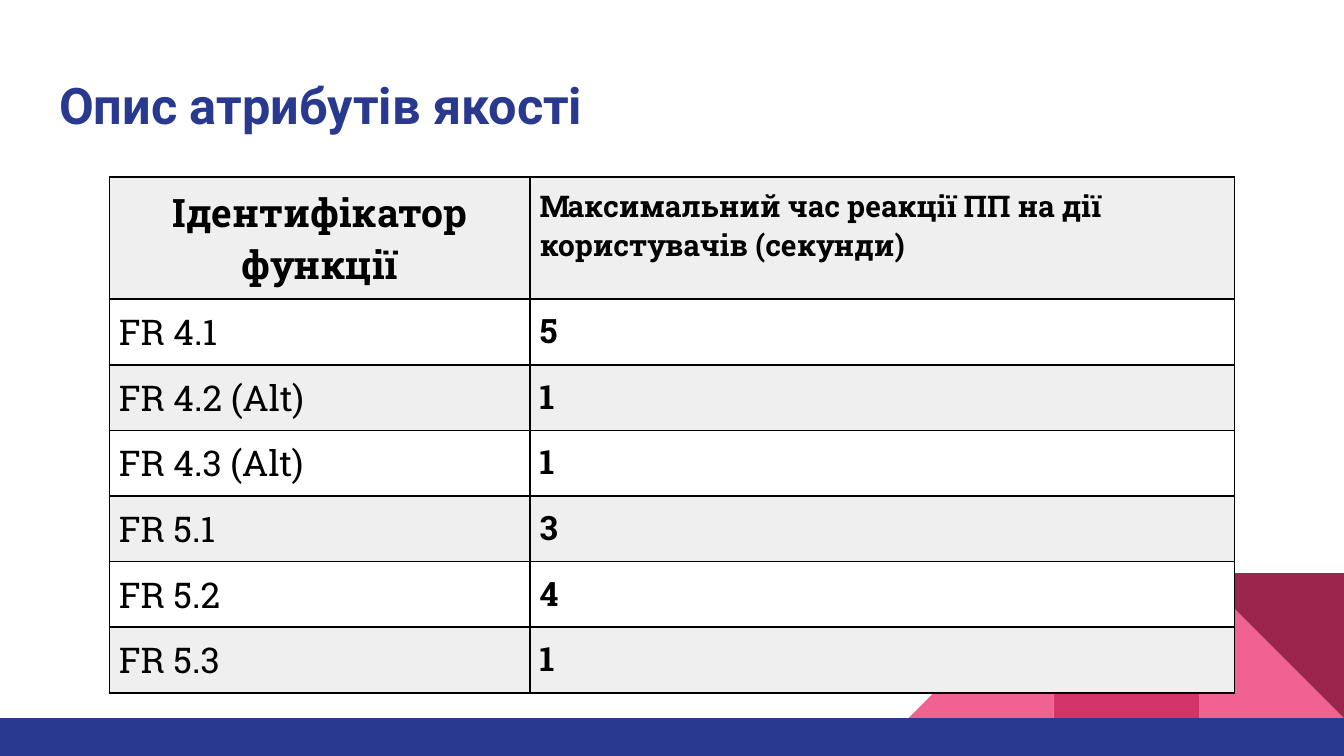
from lxml import etree
from pptx import Presentation
from pptx import util as u
from pptx.dml.color import RGBColor
from pptx.enum import shapes, text
from pptx.oxml import ns

NAVY = RGBColor(0x2A, 0x39, 0x90)
PINK = RGBColor(0xF0, 0x62, 0x92)
CRIMSON = RGBColor(0xD2, 0x33, 0x69)
MAROON = RGBColor(0x9C, 0x25, 0x4D)
GREY = RGBColor(0xEF, 0xEF, 0xEF)
WHITE = RGBColor(0xFF, 0xFF, 0xFF)
BLACK = RGBColor(0, 0, 0)

WIDTH = u.Inches(10)
HEIGHT = WIDTH * 9 // 16
BAND_TOP = 0.95
INSET = u.Inches(0.07)

TITLE_FONT = {"name": "Roboto", "size": u.Pt(27), "bold": True}
HEADER_FONTS = (
    {"name": "Roboto Slab", "size": u.Pt(21), "bold": True},
    {"name": "Roboto Slab", "size": u.Pt(16), "bold": True},
)
BODY_FONTS = (
    {"name": "Roboto Slab", "size": u.Pt(19), "bold": False},
    {"name": "Roboto Slab", "size": u.Pt(18), "bold": True},
)
HEADERS = (
    "Ідентифікатор\nфункції",
    "Максимальний час реакції ПП на дії\nкористувачів (секунди)",
)
REACTION_TIMES = (
    ("FR 4.1", "5"),
    ("FR 4.2 (Alt)", "1"),
    ("FR 4.3 (Alt)", "1"),
    ("FR 5.1", "3"),
    ("FR 5.2", "4"),
    ("FR 5.3", "1"),
)


def share_box(left, top, width, height):
    return (int(WIDTH * left), int(HEIGHT * top),
            int(WIDTH * width), int(HEIGHT * height))


def apply(target, values):
    for key, value in values.items():
        setattr(target, key, value)


def style_font(font, values, color):
    apply(font, values)
    font.color.rgb = color


def add_piece(group, kind, box, color, rotation=0):
    piece = group.shapes.add_shape(kind, *box)
    piece.rotation = rotation
    piece.fill.solid()
    piece.fill.fore_color.rgb = color
    piece.line.fill.background()
    piece.shadow.inherit = False


def add_decor(slide, box):
    left, top, width, height = box
    side = int(width * 0.108)
    band_y = top + int(height * BAND_TOP)
    triangle = shapes.MSO_SHAPE.RIGHT_TRIANGLE
    square = shapes.MSO_SHAPE.RECTANGLE
    group = slide.shapes.add_group_shape()
    for kind, column, color, rotation in (
        (triangle, 1, PINK, 0),
        (triangle, 3, PINK, 270),
        (square, 2, CRIMSON, 0),
        (triangle, 1, MAROON, 180),
    ):
        corner = (left + width - column * side, band_y - side, side, side)
        add_piece(group, kind, corner, color, rotation)
    band = (left, band_y, width, top + height - band_y)
    add_piece(group, square, band, NAVY)


def add_title(slide, box):
    title = slide.shapes.title
    apply(title, dict(zip(("left", "top", "width", "height"), box)))
    frame = title.text_frame
    sides = ("margin_left", "margin_right", "margin_top", "margin_bottom")
    apply(frame, dict.fromkeys(sides, u.Inches(0.1)))
    apply(frame, {"word_wrap": True, "auto_size": text.MSO_AUTO_SIZE.NONE,
                  "vertical_anchor": text.MSO_ANCHOR.TOP})
    frame.text = "Опис атрибутів якості"
    heading = frame.paragraphs[0]
    heading.alignment = text.PP_ALIGN.LEFT
    style_font(heading.runs[0].font, TITLE_FONT, NAVY)


def add_borders(cell):
    properties = cell._tc.get_or_add_tcPr()
    for position, side in enumerate(("lnL", "lnR", "lnT", "lnB")):
        border = etree.Element(ns.qn(f"a:{side}"), w=str(u.Pt(1)))
        fill = etree.SubElement(border, ns.qn("a:solidFill"))
        etree.SubElement(fill, ns.qn("a:srgbClr"), val=str(BLACK))
        properties.insert(position, border)


def fill_cell(cell, words, font, align, background):
    apply(cell, dict.fromkeys(
        ("margin_left", "margin_right", "margin_top", "margin_bottom"), INSET))
    cell.text = words
    for paragraph in cell.text_frame.paragraphs:
        paragraph.alignment = align
        for run in paragraph.runs:
            style_font(run.font, font, BLACK)
    cell.fill.solid()
    cell.fill.fore_color.rgb = background
    add_borders(cell)


def add_reaction_table(slide, box):
    rows = (HEADERS, *REACTION_TIMES)
    table = slide.shapes.add_table(len(rows), len(HEADERS), *box).table
    width, height = box[2:]
    id_width = int(width * 0.374)
    table.columns[0].width = id_width
    table.columns[1].width = width - id_width
    header_height = int(height * 0.237)
    body_height = (height - header_height) // len(REACTION_TIMES)
    for y, row in enumerate(rows):
        table.rows[y].height = body_height if y else header_height
        fonts = BODY_FONTS if y else HEADER_FONTS
        background = WHITE if y % 2 else GREY
        for x, words in enumerate(row):
            centred = y == 0 and x == 0
            align = text.PP_ALIGN.CENTER if centred else text.PP_ALIGN.LEFT
            fill_cell(table.cell(y, x), words, fonts[x], align, background)


def main():
    deck = Presentation()
    apply(deck, {"slide_width": WIDTH, "slide_height": HEIGHT})
    slide = deck.slides.add_slide(deck.slide_layouts[5])
    add_decor(slide, share_box(0, 0, 1, 1))
    add_title(slide, share_box(0.034, 0.08, 0.932, 0.117))
    add_reaction_table(slide, share_box(0.0815, 0.2345, 0.837, 0.68))
    deck.save("out.pptx")


if __name__ == "__main__":
    main()
